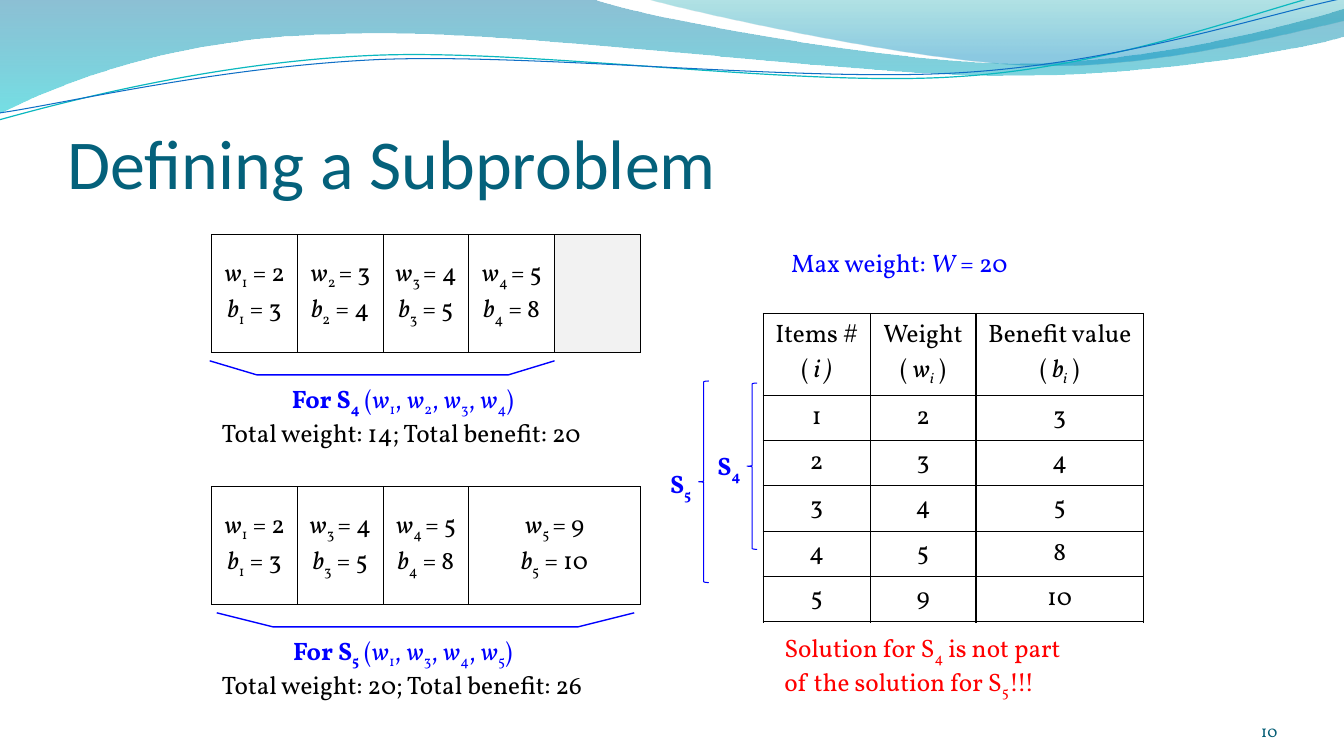
from math import cos, radians, sin

from lxml import etree
from pptx import Presentation
from pptx.dml.color import RGBColor
from pptx.enum.shapes import MSO_SHAPE
from pptx.enum.text import MSO_ANCHOR, PP_ALIGN
from pptx.oxml.ns import qn
from pptx.util import Inches, Pt

LEFT, CENTER, RIGHT = PP_ALIGN.LEFT, PP_ALIGN.CENTER, PP_ALIGN.RIGHT
TOP, MIDDLE, BOTTOM = MSO_ANCHOR.TOP, MSO_ANCHOR.MIDDLE, MSO_ANCHOR.BOTTOM
LEFT_BRACE = MSO_SHAPE.LEFT_BRACE

BLACK, BLUE, RED = "000000", "0000FF", "FF0000"
BODY_FONT = "Vollkorn"
MARKS = {"*": "italic", "~": "subscript", "^": "bold"}
TILT = -2.7

WEIGHTS = {1: 2, 2: 3, 3: 4, 4: 5, 5: 9}
BENEFITS = {1: 3, 2: 4, 3: 5, 4: 8, 5: 10}


def color(value):
    return RGBColor.from_string(value)


def add_run(paragraph, text, style, size, font, text_color):
    run = paragraph.add_run()
    run.text = text
    run.font.size = Pt(size)
    run.font.name = font
    run.font.color.rgb = color(text_color)
    run.font.bold = "bold" in style
    run.font.italic = "italic" in style
    if "subscript" in style:
        run._r.get_or_add_rPr().set("baseline", "-25000")


def add_text(frame, text, size=18, font=BODY_FONT, text_color=BLACK, align=CENTER):
    """Add one paragraph; * switches italic, ~ subscript and ^ bold on or off."""
    paragraph = frame.paragraphs[-1]
    if paragraph.runs:
        paragraph = frame.add_paragraph()
    paragraph.alignment = align
    style, piece = set(), ""
    for character in text:
        if character not in MARKS:
            piece += character
            continue
        if piece:
            add_run(paragraph, piece, style, size, font, text_color)
        style, piece = style ^ {MARKS[character]}, ""
    if piece:
        add_run(paragraph, piece, style, size, font, text_color)


def add_box(slide, left, top, width, height, anchor=TOP, insets=(0.1, 0.05, 0.1, 0.05)):
    box = slide.shapes.add_textbox(Inches(left), Inches(top), Inches(width), Inches(height))
    frame = box.text_frame
    frame.word_wrap = True
    frame.vertical_anchor = anchor
    (frame.margin_left, frame.margin_top,
     frame.margin_right, frame.margin_bottom) = map(Inches, insets)
    return frame


def add_outline(slide, start, segments, closed=False):
    """Draw segments of one point (a line) or three points (a Bezier curve)."""
    builder = slide.shapes.build_freeform(*map(Inches, start))
    corners = [(Inches(x), Inches(y)) for segment in segments for x, y in segment]
    builder.add_line_segments(corners, close=closed)
    shape = builder.convert_to_shape()
    shape.shadow.inherit = False
    steps = iter(list(shape.element.spPr.iter(qn("a:lnTo"))))
    for segment in segments:
        step = next(steps)
        if len(segment) == 3:
            step.tag = qn("a:cubicBezTo")
            for _ in range(2):
                extra = next(steps)
                step.append(extra[0])
                extra.getparent().remove(extra)
    return shape


def set_line(shape, line_color, width):
    shape.fill.background()
    shape.line.color.rgb = color(line_color)
    shape.line.width = Pt(width)


def add_wave(slide, start, segments, stops):
    """Draw a filled wave; each stop is position, colour and opacity in percent."""
    shape = add_outline(slide, start, segments, closed=True)
    shape.line.fill.background()
    shape.fill.gradient()
    shape.fill.gradient_angle = 270
    for stop, (position, stop_color, _) in zip(shape.fill.gradient_stops, stops):
        stop.position = position
        stop.color.rgb = color(stop_color)
    gradient = shape.element.spPr.find(qn("a:gradFill"))
    for element, (_, _, opacity) in zip(gradient.iter(qn("a:srgbClr")), stops):
        etree.SubElement(element, qn("a:alpha")).set("val", str(opacity * 1000))


def add_tilted_line(slide, points, center, line_color, width):
    """Draw joined curves level about the center, then rotate them into place."""
    cosine, sine = cos(radians(TILT)), sin(radians(TILT))
    level = []
    for x, y in points:
        dx, dy = x - center[0], y - center[1]
        level.append((center[0] + dx * cosine + dy * sine,
                      center[1] - dx * sine + dy * cosine))
    shape = add_outline(slide, level[0], [level[i:i + 3] for i in range(1, len(level), 3)])
    shape.rotation = TILT
    set_line(shape, line_color, width)


def add_brace(slide, left, top, height):
    brace = slide.shapes.add_shape(
        LEFT_BRACE, Inches(left), Inches(top), Inches(0.1), Inches(height))
    brace.shadow.inherit = False
    set_line(brace, BLUE, 0.75)


def add_borders(cell):
    properties = cell._tc.get_or_add_tcPr()
    for side in ("lnL", "lnR", "lnT", "lnB"):
        line = etree.SubElement(properties, qn(f"a:{side}"), w=str(Pt(1)))
        fill = etree.SubElement(line, qn("a:solidFill"))
        etree.SubElement(fill, qn("a:srgbClr"), val=BLACK)


def add_grid(slide, left, top, widths, heights, rows, anchor=TOP):
    """Add a bordered table; a cell is a list of paragraphs, and an empty one is shaded."""
    table = slide.shapes.add_table(
        len(rows), len(widths), Inches(left), Inches(top),
        Inches(sum(widths)), Inches(sum(heights))).table
    table.first_row = table.horz_banding = False
    for column, width in zip(table.columns, widths):
        column.width = Inches(width)
    for row, height, contents in zip(table.rows, heights, rows):
        row.height = Inches(height)
        for cell, paragraphs in zip(row.cells, contents):
            add_borders(cell)
            cell.vertical_anchor = anchor
            if paragraphs:
                cell.fill.background()
            else:
                cell.fill.solid()
                cell.fill.fore_color.rgb = color("F2F2F2")
            for text in paragraphs:
                add_text(cell.text_frame, text)


def item_cell(i):
    equals = "~ =" if i == 1 else " ~="
    return [f"*w*~{i}{equals} {WEIGHTS[i]}", f"*b*~{i}~ = {BENEFITS[i]}"]


def add_solution(slide, top, number, items, widths, bracket):
    """Show a knapsack, the bracket below it and its totals."""
    cells = [item_cell(i) for i in items] + [[]] * (len(widths) - len(items))
    add_grid(slide, 2.1, top, widths, [1.17], [cells], MIDDLE)

    left, inner_left, inner_right, right = bracket
    upper, lower = top + 1.25, top + 1.39
    outline = add_outline(slide, (left, upper), [
        [(inner_left, lower)], [(inner_right, lower)], [(right, upper)]])
    set_line(outline, BLUE, 1)

    frame = add_box(slide, 2.1, top + 1.42, 3.79, 0.71)
    names = ", ".join(f"*w*~{i}~" for i in items)
    add_text(frame, f"^For S~{number}~^ ({names})", text_color=BLUE)
    weight = sum(WEIGHTS[i] for i in items)
    benefit = sum(BENEFITS[i] for i in items)
    add_text(frame, f"Total weight: {weight}; Total benefit: {benefit}", align=LEFT)


def add_waves(slide):
    add_wave(slide, (0, 0), [
        [(5.87, -0.01)],
        [(6.34, 0.17), (8.85, 0.63), (10.11, 0.63)], [(11.38, 0.63), (12.78, 0.26), (13.33, 0.09)],
        [(13.35, 0.36)],
        [(13.11, 0.44), (11.6, 0.76), (9.94, 0.75)], [(8.29, 0.75), (5.09, 0.28), (3.43, 0.34)],
        [(1.72, 0.36), (0.61, 0.83), (-0.01, 1.13)], [(0, 0)],
    ], [(0, "0074A1", 45), (1, "00C6CF", 55)])
    add_wave(slide, (6.39, -0.01), [
        [(6.79, 0.11), (9.09, 0.62), (10.25, 0.65)], [(11.41, 0.69), (12.82, 0.32), (13.33, 0.21)],
        [(13.33, 0)], [(6.39, -0.01)],
    ], [(0, "00A1A9", 30), (0.8, "008BBF", 45)])
    teal = [(-0.01, 1.19), (0.64, 1.01), (2.11, 0.62), (3.69, 0.55), (5.27, 0.48),
            (7.9, 0.87), (9.5, 0.76), (11.1, 0.66), (12.52, 0.08), (13.31, -0.1)]
    blue = [(0, 1.12), (0.63, 1.03), (2.18, 0.66), (3.78, 0.59), (5.37, 0.53),
            (7.96, 0.82), (9.55, 0.72), (11.15, 0.62), (12.55, 0.14), (13.34, -0.02)]
    add_tilted_line(slide, teal, (6.65, 0.57), "0AB8BF", 0.85)
    add_tilted_line(slide, blue, (6.67, 0.59), "0F6FC6", 0.75)


def main():
    presentation = Presentation()
    presentation.slide_width, presentation.slide_height = Inches(13.33), Inches(7.5)
    slide = presentation.slides.add_slide(presentation.slide_layouts[6])
    add_waves(slide)
    title = add_box(slide, 0.67, 0.77, 12.11, 1.25, BOTTOM, (0, 0.05, 0, 0))
    add_text(title, "Defining a Subproblem", 50, "Calibri", "04617B", LEFT)

    add_solution(slide, 2.33, 4, [1, 2, 3, 4], [0.85] * 5, (2.08, 2.55, 5.04, 5.5))
    add_solution(slide, 4.83, 5, [1, 3, 4, 5], [0.85] * 3 + [1.7], (2.15, 2.71, 5.73, 6.29))

    add_text(add_box(slide, 7.67, 2.4, 2.5, 0.4), "Max weight: *W* = 20", text_color=BLUE)
    header = [["Items #", "( *i )*"], ["Weight", "( *w~i~* )"], ["Benefit value", "( *b~i~* )"]]
    items = [[[str(i)], [str(WEIGHTS[i])], [str(BENEFITS[i])]] for i in WEIGHTS]
    add_grid(slide, 7.57, 3.11, [1.06, 1.05, 1.66], [0.81] + [0.45] * 5, [header] + items)

    for number, left, top, height, label_top in ((4, 7.41, 3.8, 1.65, 4.42),
                                                 (5, 6.93, 3.78, 2, 4.6)):
        add_brace(slide, left, top, height)
        label = add_box(slide, left - 0.51, label_top, 0.66, 0.4)
        add_text(label, f"^S~{number}~^", text_color=BLUE)

    add_text(add_box(slide, 7.68, 6.22, 3.08, 0.71),
             "Solution for S~4~ is not part of the solution for S~5~!!!",
             text_color=RED, align=LEFT)
    page_number = add_box(slide, 11.56, 6.95, 1.11, 0.4, BOTTOM, (0, 0, 0, 0))
    add_text(page_number, "10", size=12, text_color="045D75", align=RIGHT)
    presentation.save("out.pptx")


if __name__ == "__main__":
    main()
